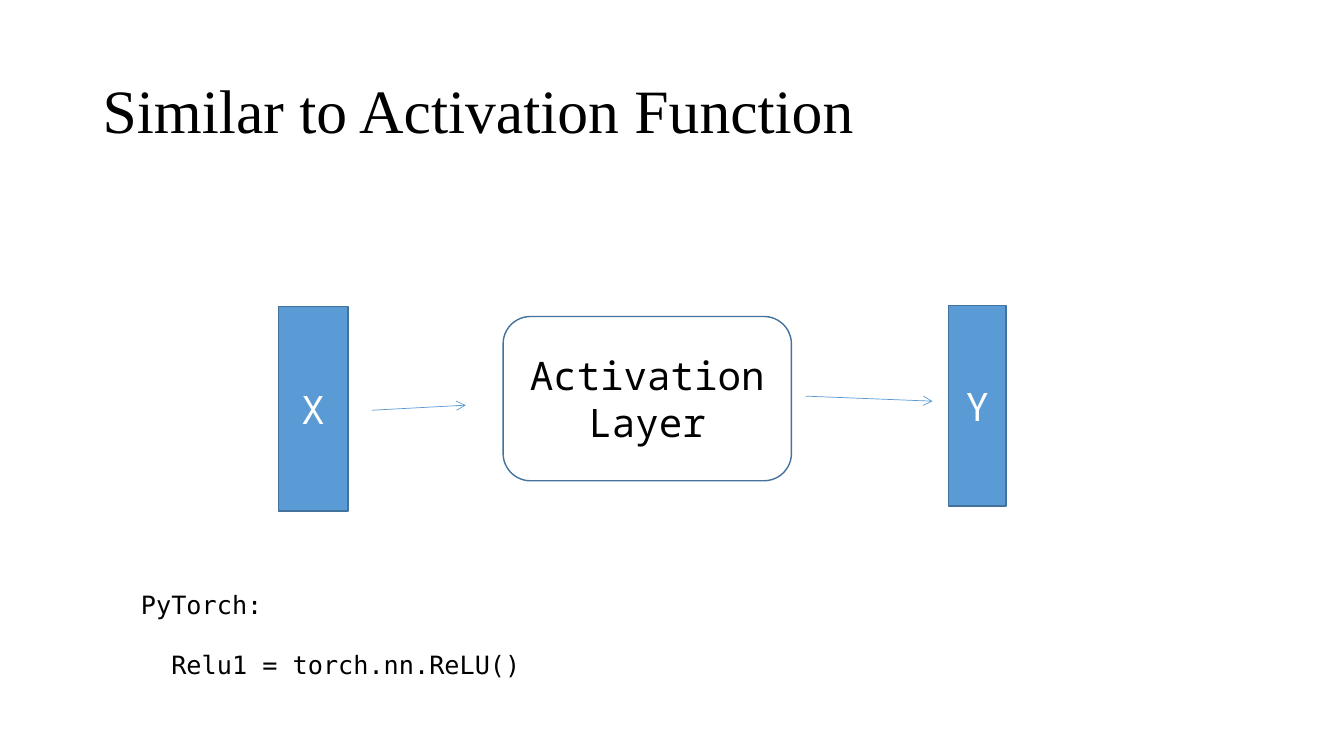
"""Build a slide showing an activation layer between input X and output Y."""
from dataclasses import dataclass

from lxml.etree import SubElement
from pptx import Presentation
from pptx.dml.color import RGBColor
from pptx.enum.shapes import MSO_CONNECTOR, MSO_SHAPE
from pptx.enum.text import MSO_ANCHOR, PP_ALIGN
from pptx.oxml.ns import qn
from pptx.slide import Slide
from pptx.text.text import TextFrame
from pptx.util import Inches, Pt

BLUE, EDGE, BLACK, WHITE = "5B9BD5", "43729D", "000000", "FFFFFF"
MONO = "Noto Sans Mono"


@dataclass
class Block:
    kind: MSO_SHAPE
    left: float
    top: float
    width: float
    height: float
    lines: list[str]
    fill: str
    ink: str


@dataclass
class Arrow:
    start: tuple[float, float]
    end: tuple[float, float]


@dataclass
class Label:
    left: float
    top: float
    width: float
    height: float
    lines: list[str]
    font: str
    size: int
    anchor: MSO_ANCHOR
    wrap: bool
    spacing: float = 1.0
    gap: int = 0


BLOCKS = [
    Block(MSO_SHAPE.RECTANGLE, 2.76, 3.04, 0.69, 2.03, ["X"], BLUE, WHITE),
    Block(MSO_SHAPE.RECTANGLE, 9.41, 3.03, 0.57, 1.99, ["Y"], BLUE, WHITE),
    Block(MSO_SHAPE.ROUNDED_RECTANGLE, 4.99, 3.14, 2.86, 1.63,
          ["Activation", "Layer"], WHITE, BLACK),
]
ARROWS = [Arrow((3.69, 4.07), (4.62, 4.02)), Arrow((7.99, 3.93), (9.25, 3.98))]
TITLE = Label(0.92, 0.4, 11.5, 1.45, ["Similar to Activation Function"],
              "Times New Roman", 44, MSO_ANCHOR.MIDDLE, True, spacing=0.9)
CODE = Label(1.3, 5.8, 3.96, 0.97, ["PyTorch:", "  Relu1 = torch.nn.ReLU()"],
             "DejaVu Sans Mono", 18, MSO_ANCHOR.TOP, False, gap=21)


def color(code: str) -> RGBColor:
    return RGBColor.from_string(code)


def write(frame: TextFrame, lines: list[str], font: str, size: int, ink: str,
          align: PP_ALIGN, spacing: float = 1.0, gap: int = 0) -> None:
    for index, line in enumerate(lines):
        para = frame.add_paragraph() if index else frame.paragraphs[0]
        para.text = line
        para.alignment = align
        para.line_spacing = spacing
        if index and gap:
            para.space_before = Pt(gap)
        para.font.name = font
        para.font.size = Pt(size)
        para.font.color.rgb = color(ink)


def draw_label(slide: Slide, label: Label) -> None:
    box = slide.shapes.add_textbox(Inches(label.left), Inches(label.top),
                                   Inches(label.width), Inches(label.height))
    frame = box.text_frame
    frame.word_wrap = label.wrap
    frame.vertical_anchor = label.anchor
    write(frame, label.lines, label.font, label.size, BLACK, PP_ALIGN.LEFT,
          label.spacing, label.gap)


def draw_block(slide: Slide, block: Block) -> None:
    shape = slide.shapes.add_shape(
        block.kind, Inches(block.left), Inches(block.top),
        Inches(block.width), Inches(block.height))
    shape.shadow.inherit = False
    if block.fill == WHITE:
        shape.fill.background()
    else:
        shape.fill.solid()
        shape.fill.fore_color.rgb = color(block.fill)
    shape.line.color.rgb = color(EDGE)
    shape.line.width = Pt(1)
    frame = shape.text_frame
    frame.word_wrap = True
    frame.vertical_anchor = MSO_ANCHOR.MIDDLE
    write(frame, block.lines, MONO, 28, block.ink, PP_ALIGN.CENTER)


def draw_arrow(slide: Slide, arrow: Arrow) -> None:
    line = slide.shapes.add_connector(
        MSO_CONNECTOR.STRAIGHT, *map(Inches, arrow.start + arrow.end))
    line.line.color.rgb = color(BLUE)
    line.line.width = Pt(0.5)
    props = line._element.spPr
    SubElement(props.find(qn("a:ln")), qn("a:tailEnd"), type="arrow")
    SubElement(props, qn("a:effectLst"))


def main() -> None:
    deck = Presentation()
    deck.slide_width, deck.slide_height = Inches(13.33), Inches(7.5)
    slide = deck.slides.add_slide(deck.slide_layouts[6])
    draw_label(slide, TITLE)
    for block in BLOCKS:
        draw_block(slide, block)
    for arrow in ARROWS:
        draw_arrow(slide, arrow)
    draw_label(slide, CODE)
    deck.save("out.pptx")


if __name__ == "__main__":
    main()
